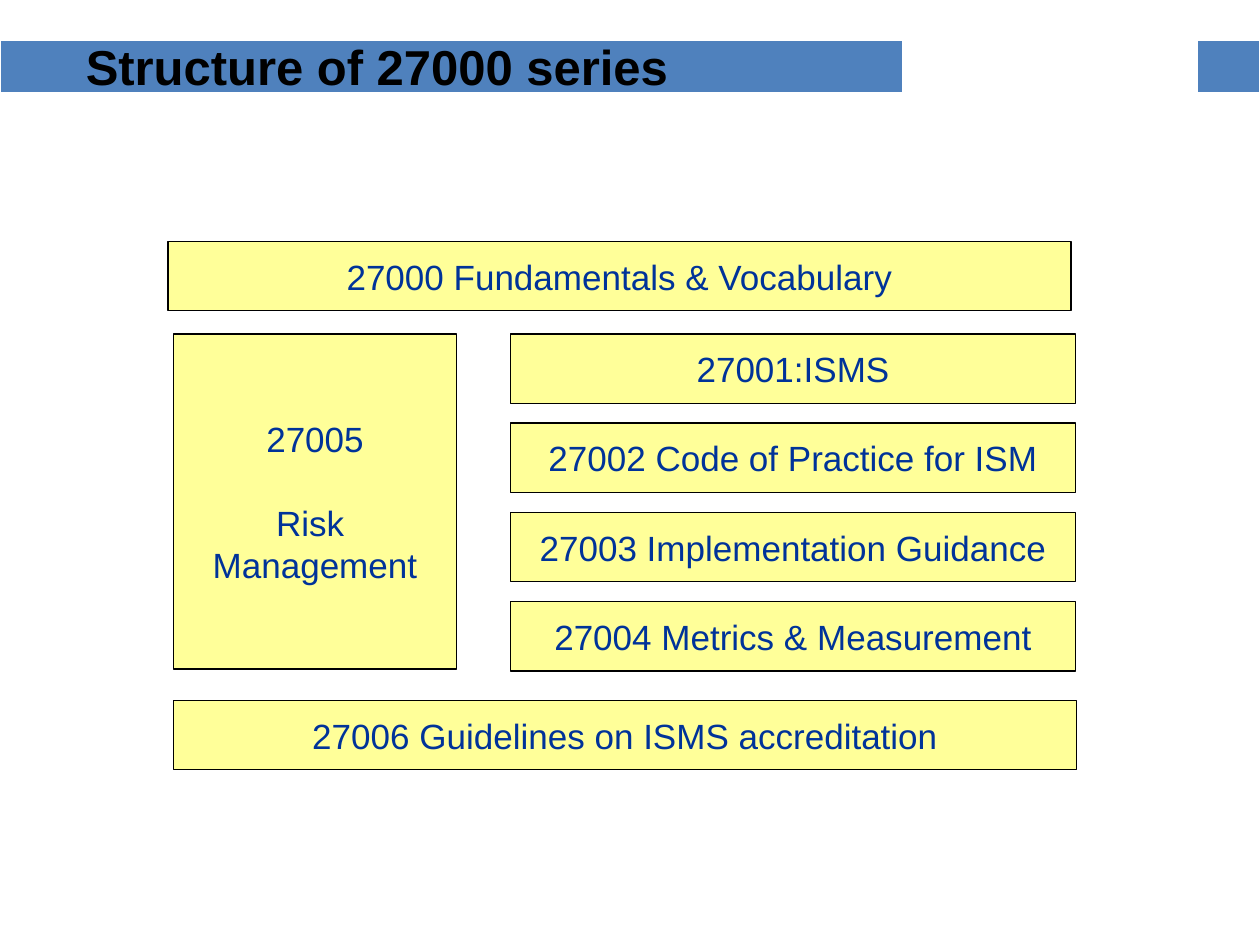
from lxml.etree import SubElement
from pptx import Presentation
from pptx.dml.color import RGBColor
from pptx.enum.shapes import MSO_SHAPE as Shape
from pptx.enum.text import MSO_ANCHOR as Anchor, MSO_AUTO_SIZE as AutoSize, PP_ALIGN as Align
from pptx.oxml.ns import qn
from pptx.util import Pt

BLACK = RGBColor(0x00, 0x00, 0x00)
WHITE = RGBColor(0xFF, 0xFF, 0xFF)
BAND_BLUE = RGBColor(0x4F, 0x81, 0xBD)
BOX_YELLOW = RGBColor(0xFF, 0xFF, 0x99)
TEXT_BLUE = RGBColor(0x00, 0x33, 0x99)

LEFT, TOP = 99.2, 190.8
FULL_WIDTH, BOX_HEIGHT = 516, 39.6
PART_LEFT, PART_WIDTH, PART_PITCH = 291.6, 323.2, 51
PARTS = [
    "27001:ISMS",
    "27002 Code of Practice for ISM",
    "27003 Implementation Guidance",
    "27004 Metrics & Measurement",
]


def set_font(paragraph, size, color, bold=False):
    """Format a whole paragraph in Arial."""
    font = paragraph.font
    font.name, font.size, font.bold = "Arial", Pt(size), bold
    font.color.rgb = color


def add_title(slide, text):
    """Place the heading in the title placeholder."""
    title = slide.shapes.title
    title.left, title.top, title.width, title.height = Pt(41.8), Pt(17.3), Pt(348.5), Pt(41)
    frame = title.text_frame
    frame.text = text
    frame.word_wrap = False
    frame.auto_size = AutoSize.SHAPE_TO_FIT_TEXT
    frame.vertical_anchor = Anchor.TOP
    frame.paragraphs[0].alignment = Align.LEFT
    set_font(frame.paragraphs[0], 28, BLACK, bold=True)


def set_borders(cell):
    """Draw white cell borders, thicker at the bottom."""
    properties = cell._tc.get_or_add_tcPr()
    for side, width in (("L", 1), ("R", 1), ("T", 1), ("B", 3)):
        line = SubElement(properties, qn(f"a:ln{side}"), w=str(Pt(width)))
        fill = SubElement(line, qn("a:solidFill"))
        SubElement(fill, qn("a:srgbClr"), val=str(WHITE))


def add_header_band(slide):
    """Put the header table behind the title."""
    columns = [(516, BAND_BLUE), (168, None), (36, BAND_BLUE)]
    band = slide.shapes.add_table(1, len(columns), 0, Pt(23), Pt(720), Pt(31))
    table = band.table
    table.first_row = table.horz_banding = False
    for index, (width, color) in enumerate(columns):
        table.columns[index].width = Pt(width)
        cell = table.cell(0, index)
        set_borders(cell)
        if color is None:
            cell.fill.background()
        else:
            cell.fill.solid()
            cell.fill.fore_color.rgb = color
    slide.shapes.title.element.addprevious(band.element)


def add_box(slide, text, left, top, width, height=BOX_HEIGHT):
    """Add a yellow box with centred text."""
    shape = slide.shapes.add_shape(Shape.RECTANGLE, Pt(left), Pt(top), Pt(width), Pt(height))
    shape.shadow.inherit = False
    shape.fill.solid()
    shape.fill.fore_color.rgb = BOX_YELLOW
    shape.line.color.rgb = BLACK
    shape.line.width = Pt(0.75)
    frame = shape.text_frame
    frame.text = text
    frame.word_wrap = False
    frame.vertical_anchor = Anchor.MIDDLE
    for paragraph in frame.paragraphs:
        paragraph.alignment = Align.CENTER
        set_font(paragraph, 20, TEXT_BLUE)
    return shape


def main():
    """Build the slide and save it."""
    presentation = Presentation()
    presentation.slide_width, presentation.slide_height = Pt(720), Pt(540)
    slide = presentation.slides.add_slide(presentation.slide_layouts[5])
    add_title(slide, "Structure of 27000 series")
    add_header_band(slide)
    add_box(slide, "27000 Fundamentals & Vocabulary", 96, 138, FULL_WIDTH)
    for index, text in enumerate(PARTS):
        add_box(slide, text, PART_LEFT, TOP + index * PART_PITCH, PART_WIDTH)
    risk = add_box(slide, "27005\nRisk \nManagement", LEFT, TOP, 161.6, 191.6)
    risk.text_frame.paragraphs[1].space_before = Pt(24)
    add_box(slide, "27006 Guidelines on ISMS accreditation", LEFT, 400.3, FULL_WIDTH)
    presentation.save("out.pptx")


if __name__ == "__main__":
    main()
